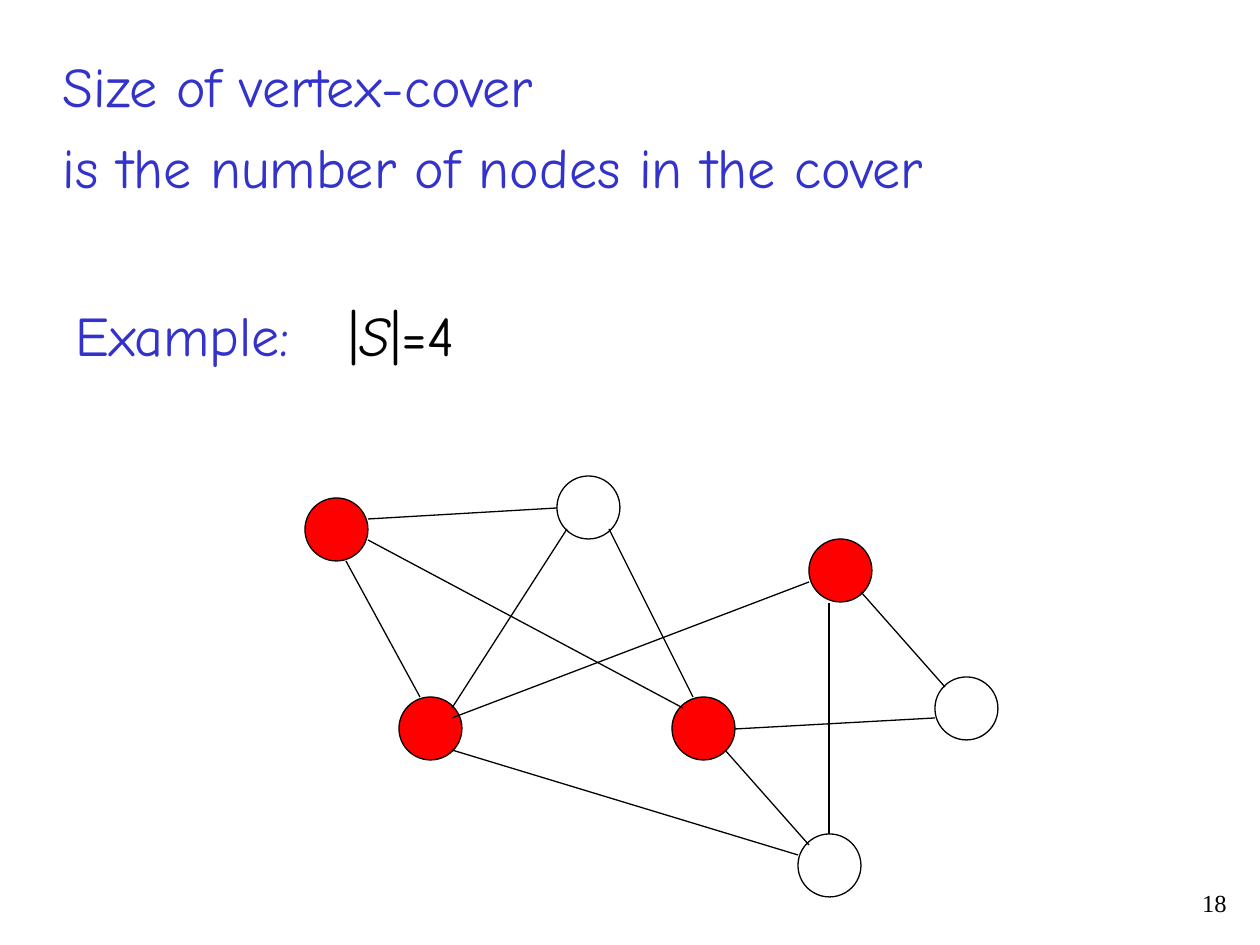
from lxml import etree
from pptx import Presentation
from pptx.dml.color import RGBColor
from pptx.enum.shapes import MSO_CONNECTOR, MSO_SHAPE
from pptx.enum.text import MSO_ANCHOR, MSO_AUTO_SIZE, PP_ALIGN
from pptx.oxml.ns import qn
from pptx.util import Emu, Pt

OVAL = MSO_SHAPE.OVAL
STRAIGHT = MSO_CONNECTOR.STRAIGHT
TOP = MSO_ANCHOR.TOP
NO_FIT = MSO_AUTO_SIZE.NONE
LEFT, RIGHT = PP_ALIGN.LEFT, PP_ALIGN.RIGHT
BLUE, BLACK, RED = "3333CC", "000000", "FF0000"


def color(value):
    return RGBColor.from_string(value)


def px(value):
    return Emu(value * 914400 // 126)


class GraphSlide:
    """Holds the style and the current slide of a graph lecture."""

    font = "Comic Neue"
    size = 32
    space = 8
    node_size = 63
    line_width = 0.75

    def __init__(self, deck):
        self.slide = deck.slides.add_slide(deck.slide_layouts[5])
        self.shapes = self.slide.shapes

    def set_text(self, box, paragraphs, fill, font=None, size=None, space=None,
                 align=LEFT, wrap=False):
        frame = box.text_frame
        frame.word_wrap = wrap
        frame.auto_size = NO_FIT
        frame.vertical_anchor = TOP
        for index, runs in enumerate(paragraphs):
            line = frame.add_paragraph() if index else frame.paragraphs[0]
            line.alignment = align
            line.space_before = Pt(self.space if space is None else space)
            line.font.name = font or self.font
            line.font.size = Pt(size or self.size)
            line.font.color.rgb = color(fill)
            for words, italic in runs:
                run = line.add_run()
                run.text = words
                if italic:
                    run.font.italic = True

    def title(self, place, lines):
        heading = self.shapes.title
        heading.left, heading.top, heading.width, heading.height = map(px, place)
        self.set_text(heading, [[(line, False)] for line in lines], BLUE)

    def text(self, place, runs, fill, **style):
        self.set_text(self.shapes.add_textbox(*map(px, place)), [runs], fill, **style)

    def node(self, left, top, covered):
        circle = self.shapes.add_shape(
            OVAL, *map(px, (left, top, self.node_size, self.node_size)))
        circle.shadow.inherit = False
        if covered:
            circle.fill.solid()
            circle.fill.fore_color.rgb = color(RED)
        else:
            circle.fill.background()
        self.outline(circle)

    def edge(self, *ends):
        link = self.shapes.add_connector(STRAIGHT, *map(px, ends))
        self.outline(link)
        etree.SubElement(link._element.spPr, qn("a:effectLst"))

    def outline(self, shape):
        shape.line.color.rgb = color(BLACK)
        shape.line.width = Pt(self.line_width)


NODES = [
    (305, 498, True), (557, 476, False), (399, 697, True), (809, 539, True),
    (672, 697, True), (935, 677, False), (798, 834, False),
]
EDGES = [
    (346, 561, 420, 697), (452, 708, 567, 529), (609, 529, 693, 697),
    (452, 718, 809, 582), (861, 592, 945, 687), (368, 540, 683, 708),
    (829, 603, 829, 834), (452, 750, 798, 855), (735, 729, 935, 718),
    (725, 750, 809, 845), (368, 519, 557, 508),
]

deck = Presentation()
deck.slide_width, deck.slide_height = px(1260), px(945)
cover = GraphSlide(deck)
cover.title((50, 45, 954, 160),
            ["Size of vertex-cover", "is the number of nodes in the cover"])
cover.text((977, 882, 262, 42), [("18", False)], BLACK,
           font="Times New Roman", size=14, space=0, align=RIGHT, wrap=True)
for node in NODES:
    cover.node(*node)
for edge in EDGES:
    cover.edge(*edge)
cover.text((336, 294, 174, 79), [("|", False), ("S", True), ("|=4", False)], BLACK)
cover.text((63, 294, 258, 79), [("Example:", False)], BLUE)
deck.save("out.pptx")
